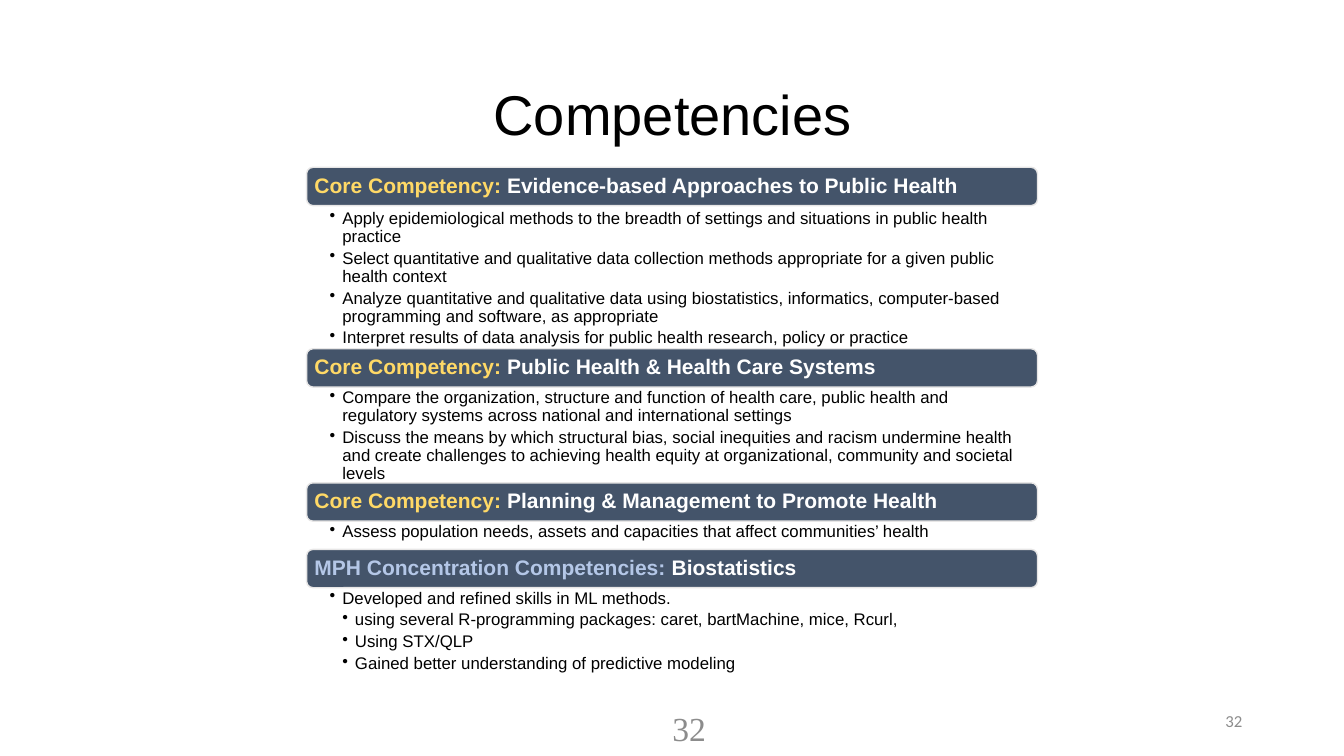
import pptx
import pptx.dml.color
import pptx.enum.shapes
import pptx.enum.text
import pptx.util
from lxml import etree

SLIDE_WIDTH = pptx.util.Inches(13.33)
SLIDE_HEIGHT = pptx.util.Inches(7.5)
BAND_LEFT, BAND_WIDTH, BAND_HEIGHT = 22.81, 54.39, 5.07
GOLD, PALE_BLUE, GREY = "FFD966", "B4C7E7", "8C8C8C"
ALIGN = pptx.enum.text.PP_ALIGN

SECTIONS = [
    (22.13, 0.27, 18.53, GOLD, "Core Competency: ", "Evidence-based Approaches to Public Health", [
        (1, "Apply epidemiological methods to the breadth of settings and situations in public health practice"),
        (1, "Select quantitative and qualitative data collection methods appropriate for a given public health context"),
        (1, "Analyze quantitative and qualitative data using biostatistics, informatics, computer-based programming "
            "and software, as appropriate"),
        (1, "Interpret results of data analysis for public health research, policy or practice"),
    ]),
    (46.13, 0, 12.67, GOLD, "Core Competency: ", "Public Health & Health Care Systems", [
        (1, "Compare the organization, structure and function of health care, public health and regulatory systems "
            "across national and international settings"),
        (1, "Discuss the means by which structural bias, social inequities and racism undermine health and create "
            "challenges to achieving health equity at organizational, community and societal levels"),
    ]),
    (63.87, 0, 3.6, GOLD, "Core Competency: ", "Planning & Management to Promote Health", [
        (1, "Assess population needs, assets and capacities that affect communities’ health"),
    ]),
    (72.67, 0, 11.33, PALE_BLUE, "MPH Concentration Competencies: ", "Biostatistics", [
        (1, "Developed and refined skills in ML methods."),
        (2, "using several R-programming packages: caret, bartMachine, mice, Rcurl,"),
        (2, "Using STX/QLP"),
        (2, "Gained better understanding of predictive modeling"),
    ]),
]


def color(value):
    """Turn a hex string into a colour."""
    return pptx.dml.color.RGBColor.from_string(value)


def area(left, top, width, height):
    """Turn percentages of the slide into a position and size."""
    return (int(SLIDE_WIDTH * left / 100), int(SLIDE_HEIGHT * top / 100),
            int(SLIDE_WIDTH * width / 100), int(SLIDE_HEIGHT * height / 100))


def set_frame(box, insets, middle):
    """Set the wrapping, insets and anchor of a shape's text and return its frame."""
    frame = box.text_frame
    frame.word_wrap = True
    left, top, right, bottom = (pptx.util.Inches(inset) for inset in insets)
    frame.margin_left, frame.margin_top = left, top
    frame.margin_right, frame.margin_bottom = right, bottom
    anchors = pptx.enum.text.MSO_ANCHOR
    frame.vertical_anchor = anchors.MIDDLE if middle else anchors.TOP
    return frame


def add_span(para, text, size, fill, bold=False, face="Arial"):
    """Append one formatted run to a paragraph."""
    span = para.add_run()
    span.text = text
    span.font.size = pptx.util.Pt(size)
    span.font.name = face
    span.font.bold = bold
    span.font.color.rgb = color(fill)


def add_label(page, place, text, size, fill, align, face="Arial", spacing=1.0):
    """Add a single line of text."""
    box = page.shapes.add_textbox(*area(*place))
    para = set_frame(box, (0.1, 0.05, 0.1, 0.05), True).paragraphs[0]
    para.alignment = align
    para.line_spacing = spacing
    add_span(para, text, size, fill, face=face)


def add_band(page, top, label, label_fill, topic):
    """Add a rounded heading band with a coloured label and a white topic."""
    band = page.shapes.add_shape(pptx.enum.shapes.MSO_SHAPE.ROUNDED_RECTANGLE,
                                 *area(BAND_LEFT, top, BAND_WIDTH, BAND_HEIGHT))
    band.shadow.inherit = False
    band.fill.solid()
    band.fill.fore_color.rgb = color("44546A")
    band.line.color.rgb = color("E7E6E6")
    band.line.width = pptx.util.Pt(1)
    para = set_frame(band, (0.06, 0.06, 0.06, 0.06), True).paragraphs[0]
    para.alignment = ALIGN.LEFT
    para.line_spacing = 0.9
    add_span(para, label, 15, label_fill, True)
    add_span(para, topic, 15, "FFFFFF", True)


def set_bullet(para, level):
    """Give a paragraph a hanging bullet for its level."""
    para.level = level
    properties = para._p.get_or_add_pPr()
    hang = pptx.util.Inches(0.125)
    properties.set("marL", str(hang * level))
    properties.set("indent", str(-hang))
    bullet = etree.SubElement(properties, pptx.oxml.ns.qn("a:buChar"))
    bullet.set("char", "•")


def add_bullets(page, top, height, items):
    """Add the bulleted list below a band."""
    box = page.shapes.add_textbox(*area(BAND_LEFT, top, BAND_WIDTH, height))
    frame = set_frame(box, (0.23, 0.02, 0.12, 0.02), False)
    for index, (level, text) in enumerate(items):
        para = frame.add_paragraph() if index else frame.paragraphs[0]
        set_bullet(para, level)
        para.line_spacing = 0.9
        para.space_after = pptx.util.Pt(2.6)
        add_span(para, text, 12, "000000")


def main():
    """Build the competencies slide and save it."""
    deck = pptx.Presentation()
    deck.slide_width, deck.slide_height = SLIDE_WIDTH, SLIDE_HEIGHT
    page = deck.slides.add_slide(deck.slide_layouts[6])
    for top, gap, height, label_fill, label, topic, items in SECTIONS:
        add_band(page, top, label, label_fill, topic)
        add_bullets(page, top + BAND_HEIGHT + gap, height, items)
    add_label(page, (6.9, 5.87, 86.27, 19.33), "Competencies", 40, "000000", ALIGN.CENTER, spacing=0.9)
    add_label(page, (70.67, 92.67, 22.5, 5.33), "32", 12, GREY, ALIGN.RIGHT, "Calibri")
    add_label(page, (30.76, 93.6, 22.5, 5.33), "32", 24, GREY, ALIGN.RIGHT, "Times New Roman")
    deck.save("out.pptx")


if __name__ == "__main__":
    main()
